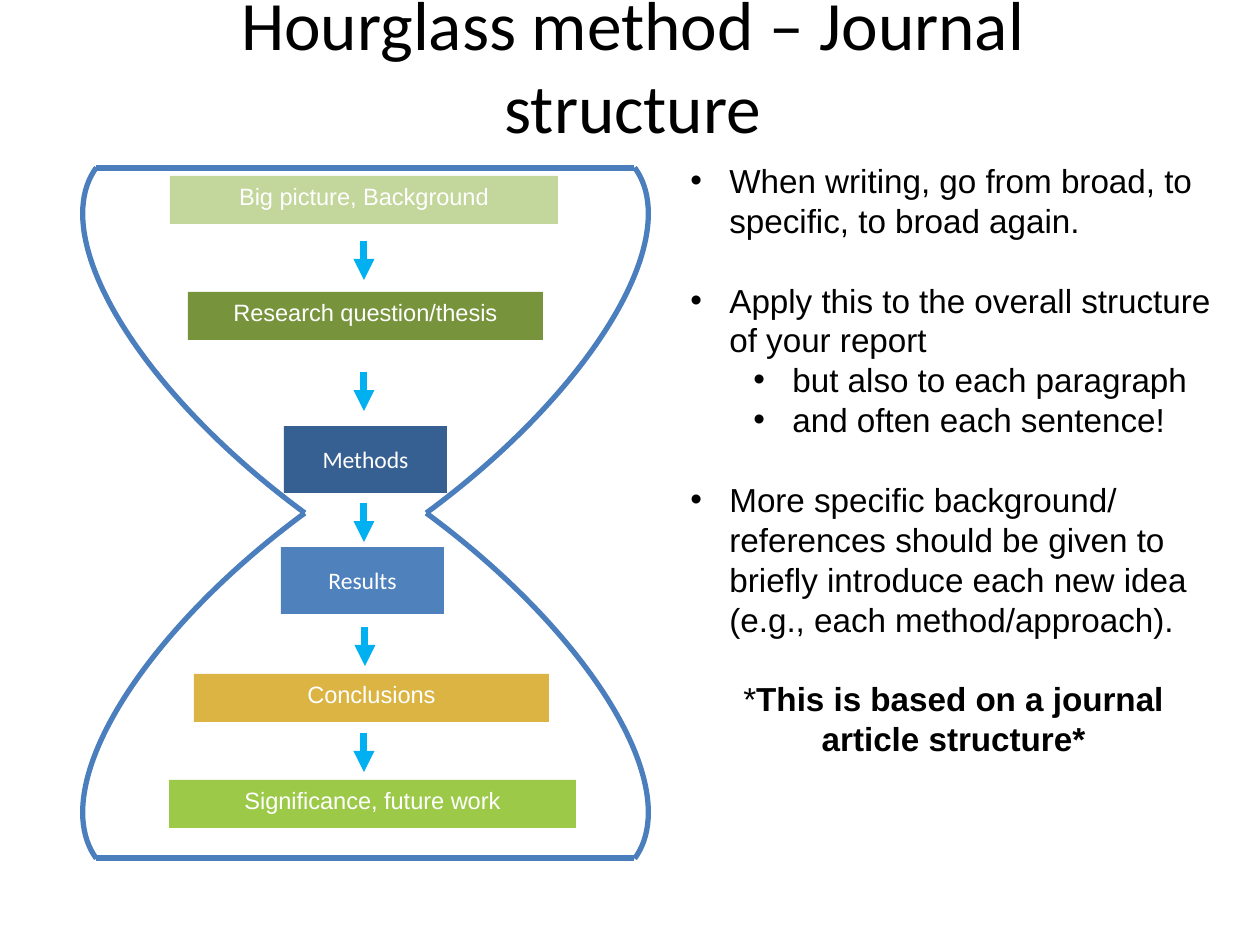
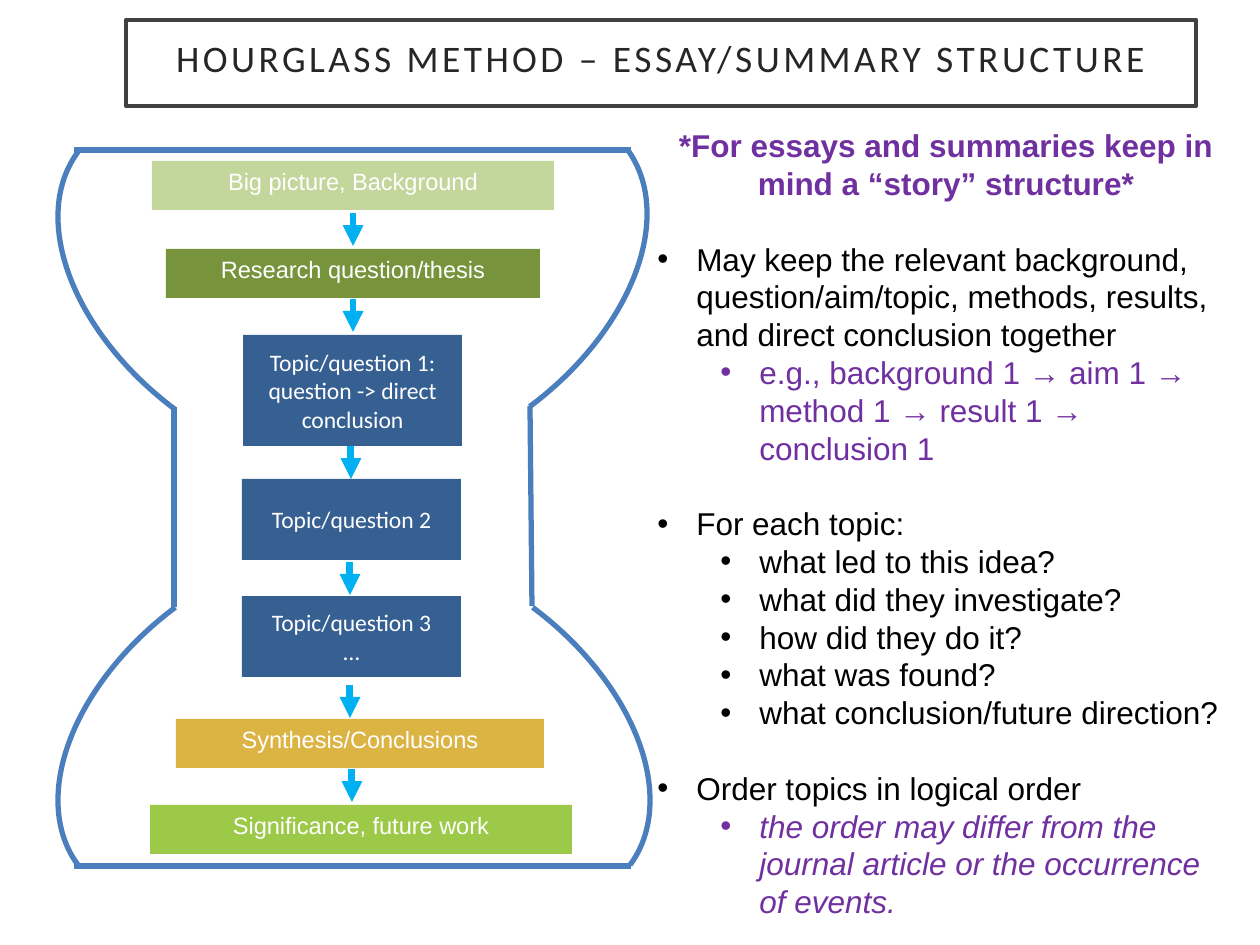
"""Build two slides on the hourglass method of structuring writing."""
from dataclasses import dataclass
from itertools import product

from lxml.etree import SubElement
from pptx import Presentation
from pptx.dml.color import RGBColor
from pptx.enum.shapes import MSO_CONNECTOR, MSO_SHAPE
from pptx.enum.text import MSO_ANCHOR, PP_ALIGN
from pptx.oxml.ns import qn
from pptx.util import Emu, Pt

BLACK = RGBColor(0x00, 0x00, 0x00)
WHITE = RGBColor(0xFF, 0xFF, 0xFF)
INK = RGBColor(0x26, 0x26, 0x26)
FRAME = RGBColor(0x40, 0x40, 0x40)
PURPLE = RGBColor(0x70, 0x30, 0xA0)
OUTLINE = RGBColor(0x4B, 0x7E, 0xBC)
ARROW = RGBColor(0x00, 0xB0, 0xF0)
PALE_GREEN = RGBColor(0xC3, 0xD6, 0x9B)
OLIVE = RGBColor(0x77, 0x93, 0x3C)
NAVY = RGBColor(0x37, 0x60, 0x92)
BLUE = RGBColor(0x4F, 0x81, 0xBD)
GOLD = RGBColor(0xDB, 0xB4, 0x44)
LIME = RGBColor(0x9C, 0xC9, 0x48)

PX_PER_INCH = 126
HANGING = 39
SUB_MARGIN = 102
LEADING = 1.2


@dataclass
class Point:
    text: str
    level: int = 0
    gap: bool = False
    color: RGBColor = BLACK
    italic: bool = False


@dataclass
class Note:
    bold_text: str
    plain_lead: str = ""
    gap: bool = False
    color: RGBColor = BLACK


JOURNAL = {
    "advice_box": (678, 154, 551, 658),
    "advice_size": 19,
    "advice": [
        Point("When writing, go from broad, to specific, to broad again."),
        Point("Apply this to the overall structure of your report", gap=True),
        Point("but also to each paragraph", 1),
        Point("and often each sentence!", 1),
        Point("More specific background/ references should be given to briefly "
              "introduce each new idea (e.g., each method/approach).", gap=True),
        Note("This is based on a journal article structure*", "*", gap=True),
    ],
    "arc_size": (745, 310),
    "arc_turn": 216.3,
    "arc_corners": [(24, 233), (24, 483), (-38, 233), (-38, 483)],
    "edges": [(96, 168, 634, 168), (96, 858, 634, 858)],
    "stages": [
        ("Big picture, Background", PALE_GREEN, "Arial", (170, 176, 388, 48)),
        ("Research question/thesis", OLIVE, "Arial", (188, 292, 355, 48)),
        ("Methods", NAVY, "Calibri", (284, 426, 163, 67)),
        ("Results", BLUE, "Calibri", (281, 547, 163, 67)),
        ("Conclusions", GOLD, "Arial", (194, 674, 355, 48)),
        ("Significance, future work", LIME, "Arial", (169, 780, 407, 48)),
    ],
    "arrow_length": 39,
    "arrow_tails": [(364, 241), (364, 372), (364, 503), (365, 627), (364, 733)],
}

ESSAY = {
    "advice_box": (645, 120, 602, 814),
    "advice_size": 18,
    "advice": [
        Note("*For essays and summaries keep in mind a “story” structure*", color=PURPLE),
        Point("May keep the relevant background, question/aim/topic, methods, "
              "results, and direct conclusion together", gap=True),
        Point("e.g., background 1 → aim 1 → method 1 → result 1 → conclusion 1",
              1, color=PURPLE),
        Point("For each topic:", gap=True),
        Point("what led to this idea?", 1),
        Point("what did they investigate?", 1),
        Point("how did they do it?", 1),
        Point("what was found?", 1),
        Point("what conclusion/future direction?", 1),
        Point("Order topics in logical order", gap=True),
        Point("the order may differ from the journal article or the occurrence of events.",
              1, color=PURPLE, italic=True),
    ],
    "arc_size": (464, 297),
    "arc_turn": 216.7,
    "arc_corners": [(32, 142), (32, 578), (209, 139), (212, 578)],
    "edges": [(74, 150, 631, 150), (74, 866, 631, 866),
              (174, 407, 174, 607), (530, 406, 532, 606)],
    "stages": [
        ("Big picture, Background", PALE_GREEN, "Arial", (152, 161, 402, 49)),
        ("Research question/thesis", OLIVE, "Arial", (166, 249, 374, 49)),
        ("Topic/question 1: question -> direct conclusion", NAVY, "Calibri",
         (243, 335, 219, 111)),
        ("Topic/question 2", NAVY, "Calibri", (242, 479, 219, 81)),
        ("Topic/question 3\n…", NAVY, "Calibri", (242, 596, 219, 81)),
        ("Synthesis/Conclusions", GOLD, "Arial", (176, 719, 368, 49)),
        ("Significance, future work", LIME, "Arial", (150, 805, 422, 49)),
    ],
    "arrow_length": 33,
    "arrow_tails": [(353, 213), (353, 299), (351, 446), (350, 562), (350, 685), (352, 769)],
}


def px(*lengths):
    return [Emu(round(length * 914400 / PX_PER_INCH)) for length in lengths]


def set_font(target, name, size, color):
    target.font.name = name
    target.font.size = Pt(size)
    target.font.color.rgb = color


def add_block(slide, preset, box):
    block = slide.shapes.add_shape(preset, *px(*box))
    block.shadow.inherit = False
    block.fill.background()
    block.line.fill.background()
    return block


def add_line(slide, ends, color, width):
    line = slide.shapes.add_connector(MSO_CONNECTOR.STRAIGHT, *px(*ends))
    line.line.color.rgb = color
    line.line.width = Pt(width)
    SubElement(line._element.spPr, qn("a:effectLst"))
    return line


def add_title(shape, text, size, color):
    frame = shape.text_frame
    frame.word_wrap = True
    frame.vertical_anchor = MSO_ANCHOR.MIDDLE
    frame.text = text
    heading = frame.paragraphs[0]
    heading.alignment = PP_ALIGN.CENTER
    set_font(heading, "Calibri", size, color)
    return heading


def add_bullet(paragraph, level):
    properties = paragraph._p.get_or_add_pPr()
    margin, indent = px(SUB_MARGIN if level else HANGING, -HANGING)
    properties.set("marL", str(margin))
    properties.set("indent", str(indent))
    SubElement(properties, qn("a:buFont"), typeface="Arial")
    SubElement(properties, qn("a:buChar"), char="•")
    paragraph.level = level


def add_advice(slide, content):
    frame = slide.shapes.add_textbox(*px(*content["advice_box"])).text_frame
    frame.word_wrap = True
    size = content["advice_size"]
    for index, item in enumerate(content["advice"]):
        paragraph = frame.add_paragraph() if index else frame.paragraphs[0]
        paragraph.line_spacing = Pt(size * LEADING)
        if item.gap:
            paragraph.space_before = Pt(size * LEADING)
        if isinstance(item, Point):
            add_bullet(paragraph, item.level)
            paragraph.add_run().text = item.text
            paragraph.font.italic = item.italic
        else:
            paragraph.alignment = PP_ALIGN.CENTER
            if item.plain_lead:
                paragraph.add_run().text = item.plain_lead
            emphasis = paragraph.add_run()
            emphasis.text = item.bold_text
            emphasis.font.bold = True
        set_font(paragraph, "Arial", size, item.color)


def add_hourglass(slide, content):
    sides = product((False, True), repeat=2)
    for (right, lower), corner in zip(sides, content["arc_corners"]):
        arc = add_block(slide, MSO_SHAPE.ARC, corner + content["arc_size"])
        arc.line.color.rgb = OUTLINE
        arc.line.width = Pt(3)
        turn = content["arc_turn"]
        arc.rotation = turn if right == lower else 360 - turn
        transform = arc._element.spPr.find(qn("a:xfrm"))
        for attribute, flipped in (("flipH", right), ("flipV", lower)):
            if flipped:
                transform.set(attribute, "1")
    for edge in content["edges"]:
        add_line(slide, edge, OUTLINE, 3)


def add_stages(slide, content):
    for label, color, font_name, box in content["stages"]:
        stage = add_block(slide, MSO_SHAPE.RECTANGLE, box)
        stage.fill.solid()
        stage.fill.fore_color.rgb = color
        frame = stage.text_frame
        frame.word_wrap = True
        frame.vertical_anchor = MSO_ANCHOR.TOP if font_name == "Arial" else MSO_ANCHOR.MIDDLE
        frame.text = label
        for paragraph in frame.paragraphs:
            paragraph.alignment = PP_ALIGN.CENTER
            set_font(paragraph, font_name, 13.5, WHITE)
    for x, top in content["arrow_tails"]:
        arrow = add_line(slide, (x, top, x, top + content["arrow_length"]), ARROW, 4)
        SubElement(arrow.line._get_or_add_ln(), qn("a:tailEnd"), type="triangle")


def add_diagram_slide(deck, content):
    slide = deck.slides.add_slide(deck.slide_layouts[6])
    add_advice(slide, content)
    add_hourglass(slide, content)
    add_stages(slide, content)
    return slide


def main():
    deck = Presentation()
    deck.slide_width, deck.slide_height = px(1260, 945)

    journal = add_diagram_slide(deck, JOURNAL)
    add_title(journal.shapes.add_textbox(*px(98, 21, 1070, 86)),
              "Hourglass method – Journal structure", 39.6, BLACK)

    essay = add_diagram_slide(deck, ESSAY)
    banner = add_block(essay, MSO_SHAPE.RECTANGLE, (126, 20, 1070, 86))
    banner.fill.solid()
    banner.fill.fore_color.rgb = WHITE
    banner.line.color.rgb = FRAME
    banner.line.width = Pt(2.5)
    frame = banner.text_frame
    (inset,) = px(25)
    frame.margin_left = frame.margin_right = inset
    frame.margin_top = frame.margin_bottom = inset
    heading = add_title(banner, "HOURGLASS METHOD – ESSAY/SUMMARY STRUCTURE", 21.4, INK)
    heading.line_spacing = 0.7
    heading.runs[0]._r.get_or_add_rPr().set("spc", "200")

    deck.save("out.pptx")


if __name__ == "__main__":
    main()
